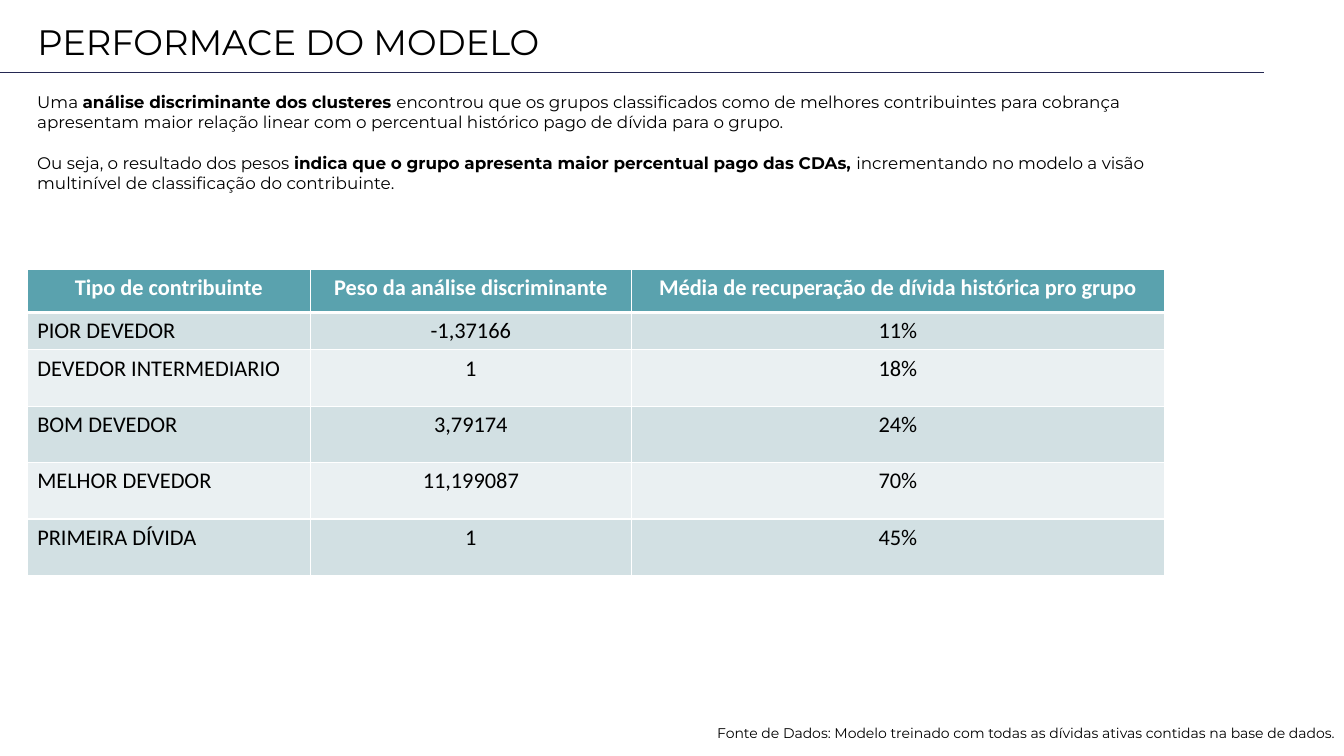
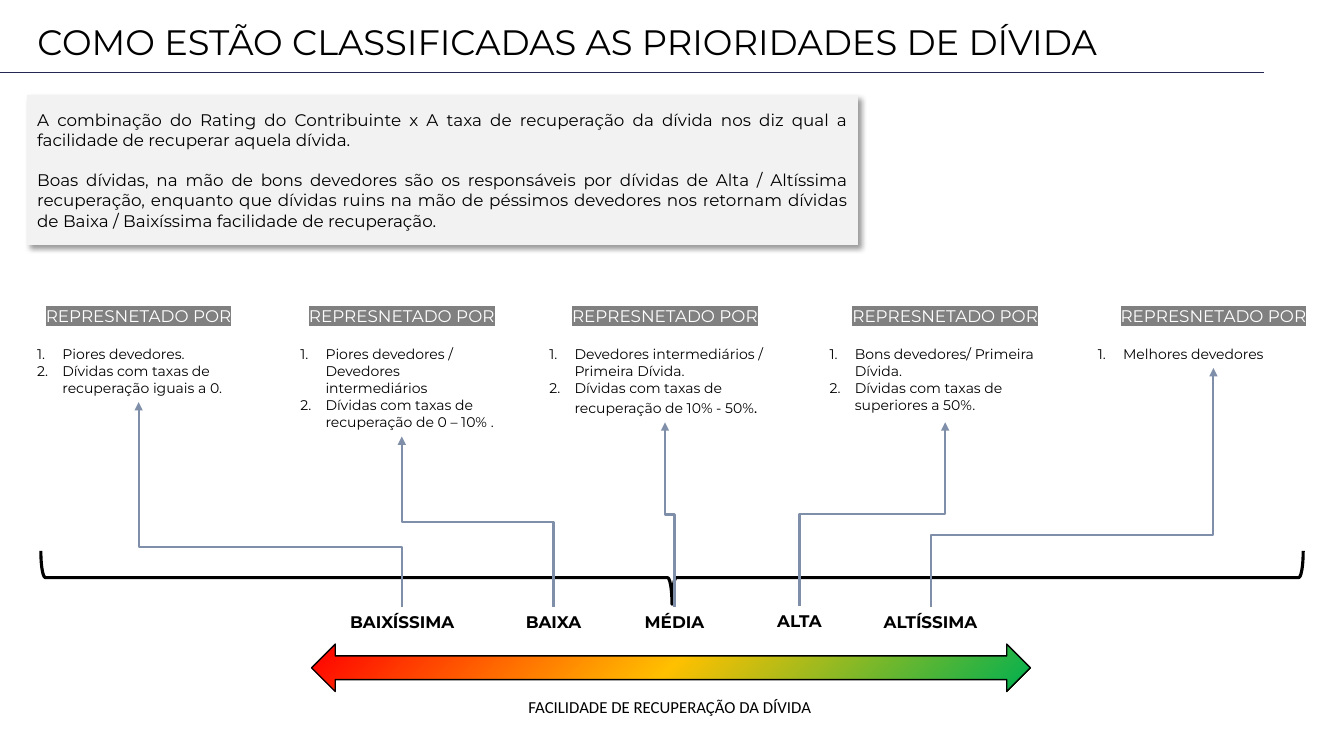
from pptx import Presentation
from pptx.dml.color import RGBColor
from pptx.enum.shapes import MSO_CONNECTOR as LINK, MSO_SHAPE as SHAPE
from pptx.enum.text import MSO_ANCHOR as ANCHOR, MSO_AUTO_SIZE as FIT, PP_ALIGN as ALIGN
from pptx.oxml import parse_xml
from pptx.oxml.ns import nsdecls, qn
from pptx.util import Inches, Pt

BLACK, WHITE, NAVY, STEEL = "000000", "FFFFFF", "242852", "7F8FA9"
TEAL, ROW_DARK, ROW_LIGHT = "5AA2AE", "D2E0E3", "EAF0F2"
PANEL, TAG = "F2F2F2", "808080"
LINE_GAP = 14.6


def color(value):
    """Turn a hex string into a colour."""
    return RGBColor.from_string(value)


def xml(tag, inner="", **attributes):
    """Build one DrawingML element."""
    listed = "".join(f' {name}="{value}"' for name, value in attributes.items())
    return parse_xml(f"<a:{tag} {nsdecls('a')}{listed}>{inner}</a:{tag}>")


def solid(value):
    """Give the markup of a solid fill."""
    return f'<a:solidFill><a:srgbClr val="{value}"/></a:solidFill>'


class Deck:
    """Holds the shared style and the page being drawn."""

    def __init__(self):
        """Start an empty widescreen deck."""
        self.deck = Presentation()
        self.deck.slide_width, self.deck.slide_height = Inches(13.33), Inches(7.5)
        self.page = None

    def open_page(self, heading):
        """Add a page with its title and the rule below it."""
        self.page = self.deck.slides.add_slide(self.deck.slide_layouts[5])
        self.link(LINK.STRAIGHT, (0, 0.72), (12.54, 0.72), NAVY, 0.5)
        title = self.page.shapes.title
        title.left, title.top = Inches(0.27), Inches(0.19)
        title.width, title.height = Inches(11.91), Inches(0.44)
        frame = title.text_frame
        frame.auto_size, frame.vertical_anchor = FIT.NONE, ANCHOR.MIDDLE
        self.para(frame, [heading], size=25.2)

    def para(self, frame, texts, size=12, align=ALIGN.LEFT, font="Montserrat",
             ink=BLACK, bold=False, gap=0, mark=None, numbered=False):
        """Write a paragraph; a text is a string or a (string, style) pair."""
        para = frame.paragraphs[0]
        if para.runs:
            para = frame.add_paragraph()
        para.alignment, para.space_before = align, Pt(gap)
        if numbered:
            props = para._p.get_or_add_pPr()
            props.set("marL", str(Inches(0.25)))
            props.set("indent", str(Inches(-0.25)))
            props.append(xml("buAutoNum", type="arabicPeriod"))
        for item in texts:
            text, style = (item, {}) if isinstance(item, str) else item
            span = para.add_run()
            span.text = text
            span.font.name = font
            span.font.size = Pt(style.get("size", size))
            span.font.bold = style.get("bold", bold)
            span.font.color.rgb = color(ink)
            if mark:
                fill = span._r.rPr.find(qn("a:solidFill"))
                fill.addnext(xml("highlight", f'<a:srgbClr val="{mark}"/>'))

    def text(self, left, top, width, height):
        """Add a wrapping text box and return its frame."""
        box = self.page.shapes.add_textbox(*map(Inches, (left, top, width, height)))
        frame = box.text_frame
        frame.word_wrap, frame.auto_size = True, FIT.SHAPE_TO_FIT_TEXT
        return frame

    def shape(self, kind, left, top, width, height, fill=None, line=None, weight=1):
        """Add a preset shape without a shadow."""
        shape = self.page.shapes.add_shape(kind, *map(Inches, (left, top, width, height)))
        shape.shadow.inherit = False
        if fill:
            shape.fill.solid()
            shape.fill.fore_color.rgb = color(fill)
        else:
            shape.fill.background()
        if line:
            shape.line.color.rgb = color(line)
            shape.line.width = Pt(weight)
        else:
            shape.line.fill.background()
        return shape

    def panel(self, left, top, width, height):
        """Add a shaded panel with a drop shadow and return its frame."""
        shape = self.shape(SHAPE.RECTANGLE, left, top, width, height, PANEL)
        shadow = xml("outerShdw", f'<a:srgbClr val="{BLACK}"><a:alpha val="40000"/></a:srgbClr>',
                     blurRad=Pt(4), dist=Pt(3), dir=2700000, algn="tl", rotWithShape=0)
        shape._element.spPr.find(qn("a:effectLst")).append(shadow)
        shape.text_frame.word_wrap = True
        shape.text_frame.vertical_anchor = ANCHOR.MIDDLE
        return shape.text_frame

    def scale(self, left, top, width, height, stops):
        """Add a double arrow with a radial gradient."""
        shape = self.shape(SHAPE.LEFT_RIGHT_ARROW, left, top, width, height, WHITE, BLACK)
        marks = "".join(f'<a:gs pos="{place * 1000}"><a:srgbClr val="{value}"/></a:gs>'
                        for place, value in stops)
        gradient = xml("gradFill", f'<a:gsLst>{marks}</a:gsLst><a:path path="circle">'
                       '<a:fillToRect l="100000" t="100000"/></a:path>', rotWithShape=1)
        props = shape._element.spPr
        props.replace(props.find(qn("a:solidFill")), gradient)

    def link(self, kind, start, end, line, weight):
        """Add a plain connector."""
        link = self.page.shapes.add_connector(kind, *map(Inches, start + end))
        link.line.color.rgb = color(line)
        link.line.width = Pt(weight)
        link._element.spPr.append(xml("effectLst"))
        return link

    def riser(self, start, end, bend=0.5):
        """Add an elbow arrow that leaves and arrives vertically."""
        middle_x, middle_y = (start[0] + end[0]) / 2, (start[1] + end[1]) / 2
        turned = [(middle_x - y + middle_y, middle_y + x - middle_x) for x, y in (start, end)]
        link = self.link(LINK.ELBOW, *turned, STEEL, 1.5)
        props = link._element.spPr
        props.find(qn("a:xfrm")).set("rot", str(270 * 60000))
        props.find(qn("a:ln")).append(xml("tailEnd", type="triangle"))
        guide = xml("gd", name="adj1", fmla=f"val {round(bend * 100000)}")
        props.find(qn("a:prstGeom")).get_or_add_avLst().append(guide)

    def table(self, left, top, widths, heights, rows):
        """Add a banded table with white borders."""
        size = map(Inches, (left, top, sum(widths), sum(heights)))
        table = self.page.shapes.add_table(len(rows), len(widths), *size).table
        for column, width in zip(table.columns, widths):
            column.width = Inches(width)
        for index, (row, height, texts) in enumerate(zip(table.rows, heights, rows)):
            row.height = Inches(height)
            head = index == 0
            fill = TEAL if head else ROW_DARK if index % 2 else ROW_LIGHT
            for place, (cell, text) in enumerate(zip(row.cells, texts)):
                for side in "LRTB":
                    thick = (head and side == "B") or (index == 1 and side == "T")
                    border = xml(f"ln{side}", solid(WHITE), w=Pt(3 if thick else 1))
                    cell._tc.get_or_add_tcPr().append(border)
                cell.fill.solid()
                cell.fill.fore_color.rgb = color(fill)
                self.para(cell.text_frame, [text], 16, font="Calibri", bold=head,
                          ink=WHITE if head else BLACK,
                          align=ALIGN.CENTER if head or place else ALIGN.LEFT)


def performance(deck):
    """Draw the model performance page."""
    deck.open_page("PERFORMACE DO MODELO")
    source = deck.text(2.25, 7.14, 11.08, 0.27)
    deck.para(source, ["Fonte de Dados: Modelo treinado com todas as dívidas ativas "
                       "contidas na base de dados."], 10, ALIGN.RIGHT)
    strong = {"bold": True}
    intro = deck.text(0.27, 0.86, 11.52, 1.11)
    deck.para(intro, [
        "Uma ", ("análise discriminante dos clusteres ", strong),
        "encontrou que os grupos classificados como de melhores contribuintes para cobrança "
        "apresentam maior relação linear com o percentual histórico pago de dívida para o grupo."])
    deck.para(intro, [
        "Ou seja, o resultado dos pesos ",
        ("indica que o grupo apresenta maior percentual pago das CDAs, ", strong),
        "incrementando no modelo a visão multinível de classificação do contribuinte."],
        gap=LINE_GAP)
    deck.table(0.27, 2.67, [2.81, 3.18, 5.29], [0.43, 0.37] + [0.56] * 4, [
        ("Tipo de contribuinte", "Peso da análise discriminante",
         "Média de recuperação de dívida histórica pro grupo"),
        ("PIOR DEVEDOR", "-1,37166", "11%"),
        ("DEVEDOR INTERMEDIARIO", "1", "18%"),
        ("BOM DEVEDOR", "3,79174", "24%"),
        ("MELHOR DEVEDOR", "11,199087", "70%"),
        ("PRIMEIRA DÍVIDA", "1", "45%")])


def priorities(deck):
    """Draw the debt priority page."""
    deck.open_page("COMO ESTÃO CLASSIFICADAS AS PRIORIDADES DE DÍVIDA")
    panel = deck.panel(0.27, 0.94, 8.24, 1.49)
    deck.para(panel, ["A combinação do Rating do Contribuinte x A taxa de recuperação da dívida "
                      "nos diz qual a facilidade de recuperar aquela dívida. "],
              align=ALIGN.JUSTIFY)
    deck.para(panel, ["Boas dívidas, na mão de bons devedores são os responsáveis por dívidas de "
                      "Alta / Altíssima recuperação, enquanto que dívidas ruins na mão de péssimos "
                      "devedores nos retornam dívidas de Baixa / Baixíssima facilidade de "
                      "recuperação."], align=ALIGN.JUSTIFY, gap=LINE_GAP)
    deck.scale(3.09, 6.39, 7.13, 0.47, [(0, "00B050"), (50, "FFC000"), (100, "FF0000")])
    caption = deck.text(4.76, 6.86, 3.77, 0.3)
    deck.para(caption, ["FACILIDADE DE RECUPERAÇÃO DA DÍVIDA"], align=ALIGN.CENTER, font="Calibri")
    brace = deck.shape(SHAPE.LEFT_BRACE, 6.4, -0.53, 0.53, 12.52, line=BLACK, weight=2.25)
    brace.rotation = 270

    top, label_width = 2.98, 1.6
    levels = [
        ("BAIXÍSSIMA", 3.99, 6.02, 0.29, 0.27, 2.21, 1.01,
         [["Piores devedores."], ["Dívidas com taxas de recuperação iguais a 0."]]),
        ("BAIXA", 5.49, 6.02, 0.5, 2.88, 2.21, 1.35,
         [["Piores devedores / Devedores intermediários"],
          ["Dívidas com taxas de recuperação de 0 – 10% ."]]),
        ("MÉDIA", 6.69, 6.02, 0.5, 5.35, 2.49, 1.21,
         [["Devedores intermediários / Primeira Dívida."],
          ["Dívidas com taxas de recuperação de 10% - 50%", (".", {"size": 12})]]),
        ("ALTA", 7.93, 6.01, 0.5, 8.13, 2.49, 1.21,
         [["Bons devedores/ Primeira Dívida."], ["Dívidas com taxas de superiores a 50%."]]),
        ("ALTÍSSIMA", 9.23, 6.02, 0.3, 10.79, 2.49, 0.67, [["Melhores devedores"]])]
    for name, center, base, bend, left, width, height, reasons in levels:
        label = deck.text(center - label_width / 2, base, label_width, 0.3)
        deck.para(label, [name], align=ALIGN.CENTER, bold=True)
        group = deck.text(left, top, width, height)
        deck.para(group, ["REPRESNETADO POR"], align=ALIGN.CENTER, ink=WHITE, mark=TAG)
        for index, reason in enumerate(reasons):
            deck.para(group, reason, 10, gap=0 if index else LINE_GAP, numbered=True)
        deck.riser((center, base), (left + width / 2, top + height), bend)


def main():
    """Build and save the deck."""
    deck = Deck()
    performance(deck)
    priorities(deck)
    deck.deck.save("out.pptx")


if __name__ == "__main__":
    main()
